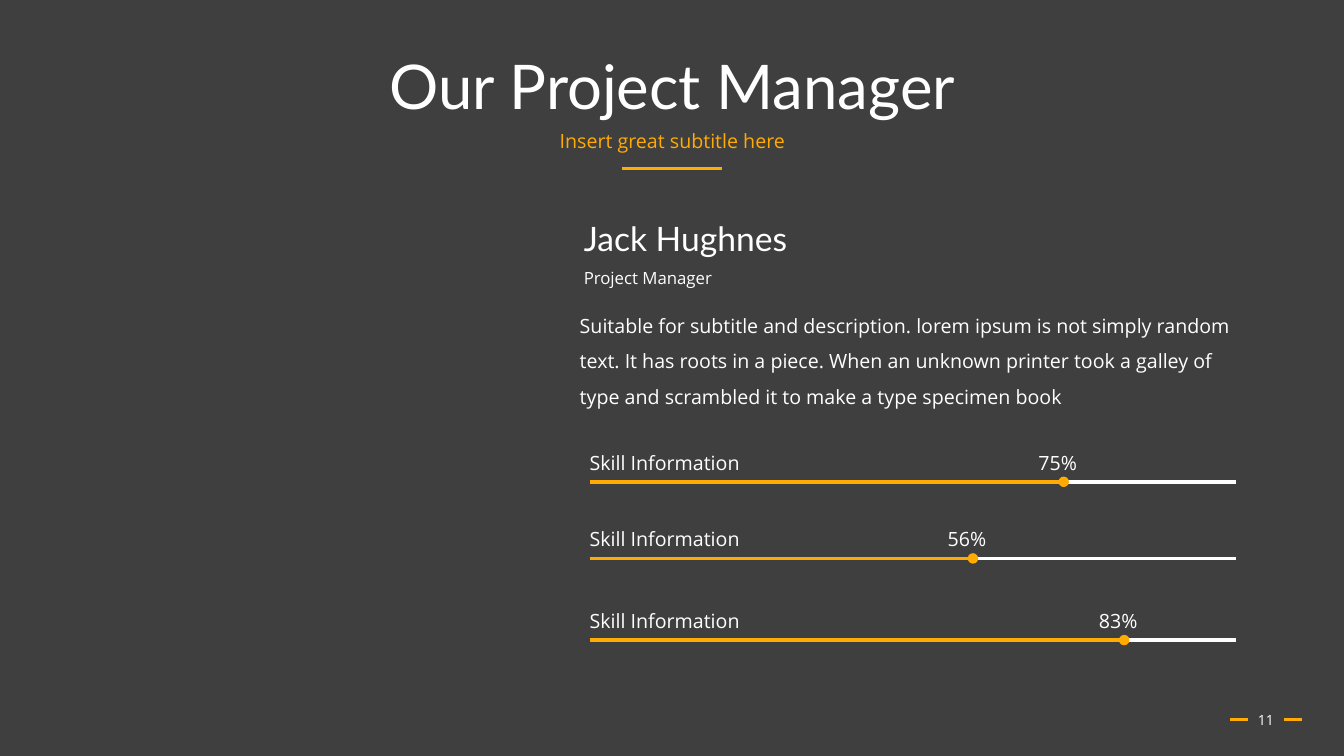
from lxml import etree
from pptx import Presentation
from pptx.dml.color import RGBColor
from pptx.enum.shapes import MSO_CONNECTOR
from pptx.enum.text import MSO_ANCHOR, MSO_AUTO_SIZE, PP_ALIGN
from pptx.oxml.ns import qn
from pptx.util import Inches, Pt

STRAIGHT = MSO_CONNECTOR.STRAIGHT
TOP, MIDDLE = MSO_ANCHOR.TOP, MSO_ANCHOR.MIDDLE
LEFT, CENTER = PP_ALIGN.LEFT, PP_ALIGN.CENTER
GROW, FIXED = MSO_AUTO_SIZE.SHAPE_TO_FIT_TEXT, MSO_AUTO_SIZE.NONE
DARK, WHITE, AMBER = "3F3F3F", "FFFFFF", "FFAB03"
HEADING_FONT, BODY_FONT = "Lato", "Open Sans"

# Content
TITLE = "Our Project Manager"
SUBTITLE = "Insert great subtitle here"
NAME, ROLE = "Jack Hughnes", "Project Manager"
DESCRIPTION = (
    "Suitable for subtitle and description. lorem ipsum is not simply random text. "
    "It has roots in a piece. When an unknown printer took a galley of type and "
    "scrambled it to make a type specimen book"
)
PAGE_NUMBER = "11"
SKILLS = [  # label, value, bar height on page, end of filled part
    ("Skill Information", "75%", 4.78, 10.55),
    ("Skill Information", "56%", 5.54, 9.65),
    ("Skill Information", "83%", 6.35, 11.15),
]
ACCENT_RULES = [(6.17, 7.16, 1.67), (12.2, 12.38, 7.14), (12.74, 12.91, 7.14)]
TEXT_LEFT, BAR_LEFT, BAR_RIGHT = 5.75, 5.85, 12.26


def color(value):
    return RGBColor.from_string(value)


def write(box, text, size=14, font=BODY_FONT, fill=WHITE, align=LEFT, anchor=TOP,
          spacing=1.0, before=0, margins=(0.1, 0.05), wrap=True, fit=FIXED):
    frame = box.text_frame
    frame.word_wrap, frame.auto_size, frame.vertical_anchor = wrap, fit, anchor
    frame.margin_left = frame.margin_right = Inches(margins[0])
    frame.margin_top = frame.margin_bottom = Inches(margins[1])
    para = frame.paragraphs[0]
    para.alignment, para.line_spacing, para.space_before = align, spacing, Pt(before)
    span = para.add_run()
    span.text = text
    span.font.size, span.font.name = Pt(size), font
    span.font.color.rgb = color(fill)


def place(box, left, top, width, height):
    box.left, box.top = Inches(left), Inches(top)
    box.width, box.height = Inches(width), Inches(height)


def add_text(text, left, top, width, height, **style):
    box = page.shapes.add_textbox(*map(Inches, (left, top, width, height)))
    write(box, text, **style)


def add_rule(start, end, height, fill, weight, dot=False):
    rule = page.shapes.add_connector(
        STRAIGHT, Inches(start), Inches(height), Inches(end), Inches(height))
    rule.line.color.rgb, rule.line.width = color(fill), Pt(weight)
    if dot:
        etree.SubElement(rule.line._get_or_add_ln(), qn("a:tailEnd"), type="oval")
    etree.SubElement(rule._element.spPr, qn("a:effectLst"))


deck = Presentation()
deck.slide_width, deck.slide_height = Inches(13.33), Inches(7.5)
page = deck.slides.add_slide(deck.slide_layouts[1])
page.background.fill.solid()
page.background.fill.fore_color.rgb = color(DARK)

# Title and subtitle
title, subtitle = page.placeholders
place(title, 0.92, 0.4, 11.5, 0.98)
write(title, TITLE, size=44, font=HEADING_FONT, align=CENTER, anchor=MIDDLE, spacing=0.9)
place(subtitle, 0.92, 1.26, 11.5, 0.4)
write(subtitle, SUBTITLE, fill=AMBER, align=CENTER, spacing=0.9, before=10)
properties = subtitle.text_frame.paragraphs[0]._p.get_or_add_pPr()
properties.set("marL", "0")
properties.set("indent", "0")
etree.SubElement(properties, qn("a:buNone"))

# Accent rules and page number
for start, end, height in ACCENT_RULES:
    add_rule(start, end, height, AMBER, 1.75)
add_text(PAGE_NUMBER, 12.26, 6.94, 0.59, 0.4, size=10, align=CENTER, anchor=MIDDLE)

# Profile
tight = dict(anchor=MIDDLE, margins=(0.04, 0.04), wrap=False, fit=GROW)
add_text(NAME, TEXT_LEFT, 2.17, 2.12, 0.44, size=24, font=HEADING_FONT, spacing=0.9, **tight)
add_text(ROLE, TEXT_LEFT, 2.59, 1.36, 0.3, size=12, spacing=1.2, **tight)
add_text(DESCRIPTION, TEXT_LEFT, 3, 6.47, 1.06, spacing=1.5, margins=(0, 0), fit=GROW)

# Skill bars
for label, value, height, end in SKILLS:
    add_rule(BAR_LEFT, BAR_RIGHT, height, WHITE, 2.5)
    add_rule(BAR_LEFT, end, height, AMBER, 2.5, dot=True)
    add_text(label, TEXT_LEFT, height - 0.36, 1.7, 0.34, wrap=False, fit=GROW)
    add_text(value, end - 0.35, height - 0.36, 0.59, 0.34, wrap=False, fit=GROW)

deck.save("out.pptx")
